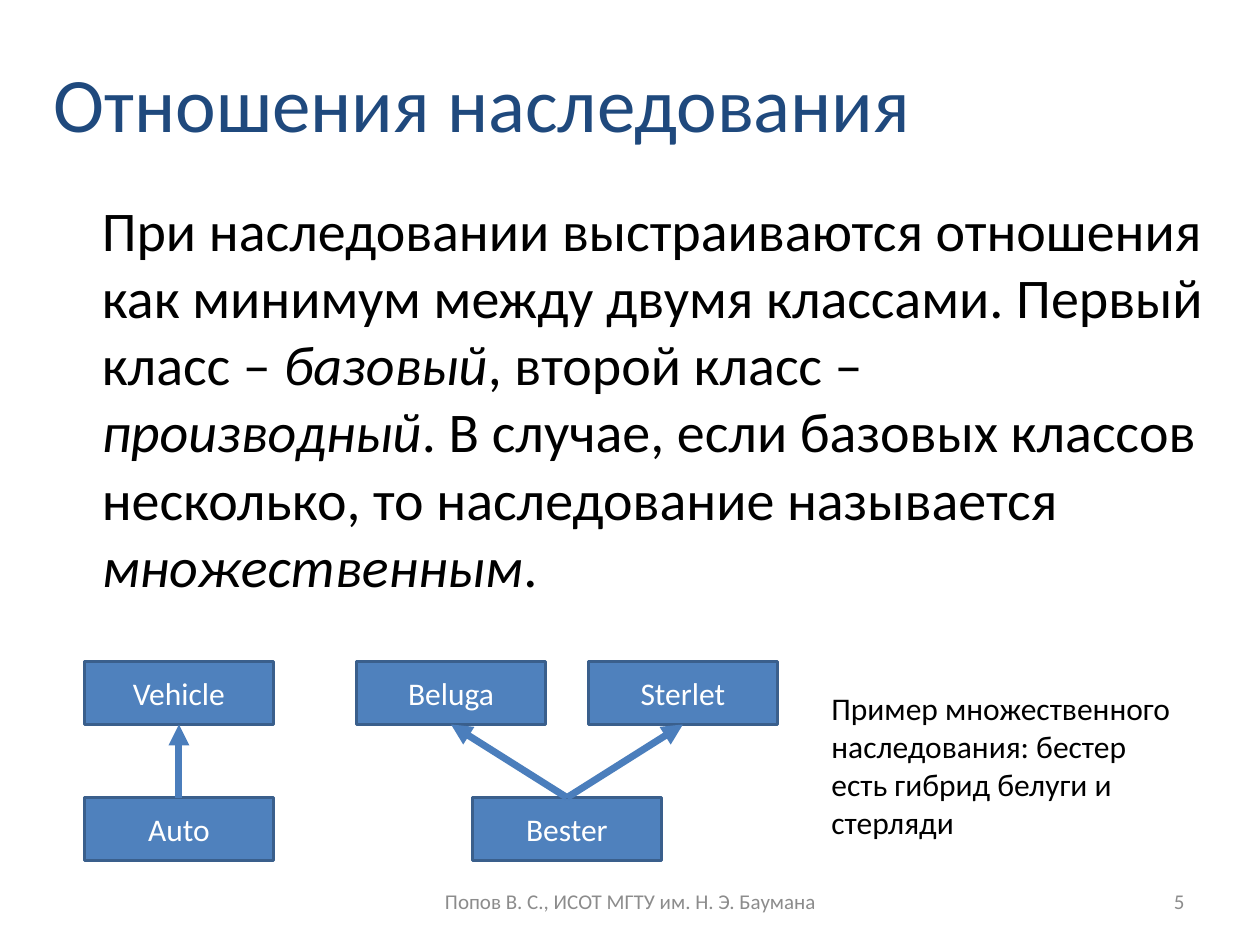
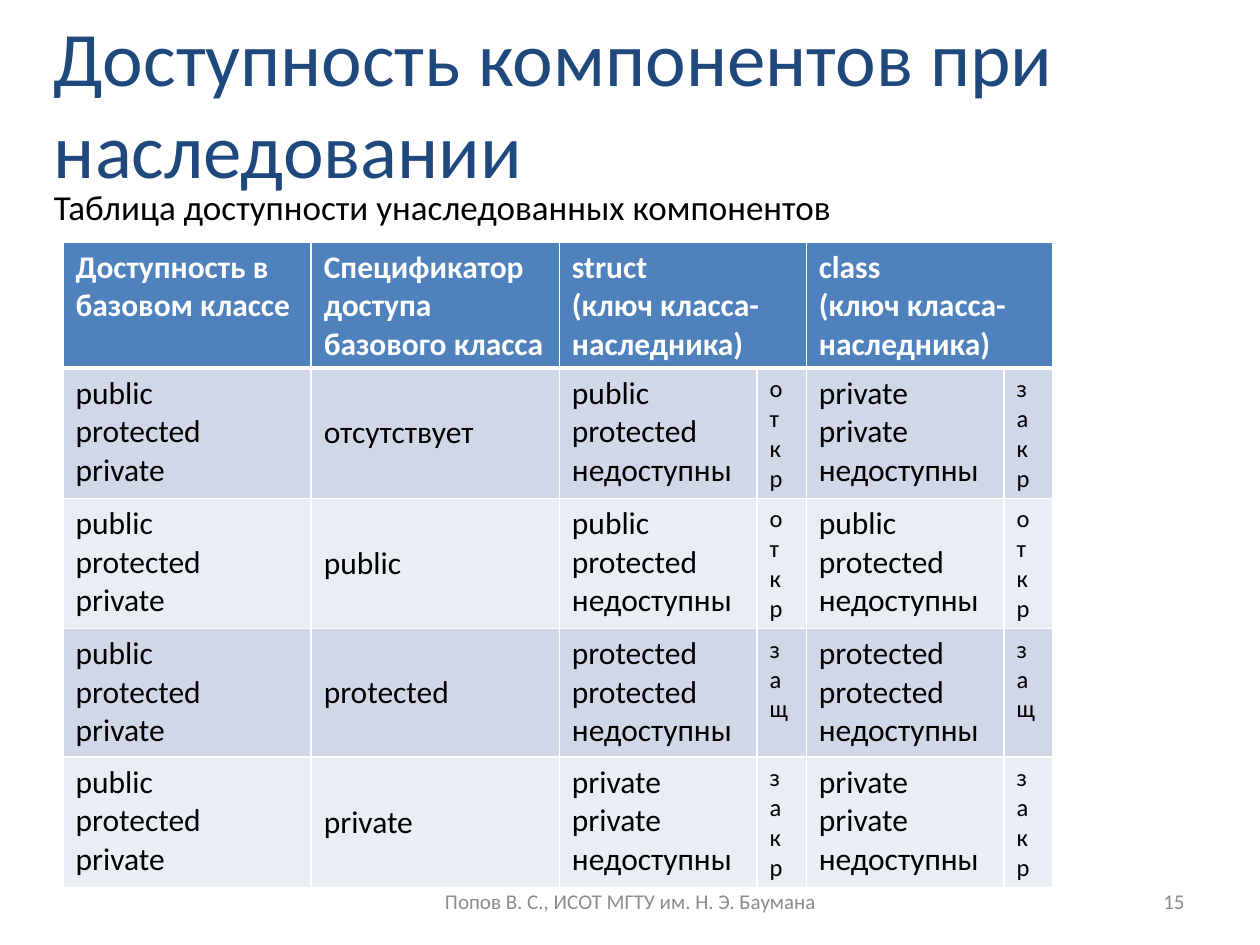
"""Build two lecture slides on class inheritance."""
from lxml.etree import SubElement
from pptx import Presentation
from pptx.dml.color import RGBColor
from pptx.enum.shapes import MSO_CONNECTOR, MSO_SHAPE
from pptx.enum.text import MSO_ANCHOR, PP_ALIGN
from pptx.oxml import parse_xml
from pptx.oxml.ns import nsdecls, qn
from pptx.util import Inches, Pt

COLORS = {
    "title": "1F497D", "text": "000000", "footer": "8C8C8C", "white": "FFFFFF",
    "box": "4F81BD", "box_line": "3A5F8C", "arrow": "4B7EBC",
    "band_dark": "D0D8E8", "band_light": "E9EDF4",
}
FONT = "Calibri"
FOOTER = "Попов В. С., ИСОТ МГТУ им. Н. Э. Баумана"

DEFINITION = [
    ("При наследовании выстраиваются отношения как минимум между двумя классами. "
     "Первый класс – ", False),
    ("базовый", True),
    (", второй класс – ", False),
    ("производный", True),
    (". В случае, если базовых классов несколько, то наследование называется ", False),
    ("множественным", True),
    (".", False),
]
CLASS_BOXES = {
    "Vehicle": (0, 0), "Auto": (0, 1.08), "Beluga": (2.16, 0),
    "Bester": (3.08, 1.08), "Sterlet": (4, 0),
}
INHERITANCE = [("Auto", "Vehicle"), ("Bester", "Beluga"), ("Bester", "Sterlet")]

HEADERS = [
    (0, "Доступность в базовом классе"),
    (1, "Спецификатор доступа базового класса"),
    (2, "struct \n(ключ класса-наследника)"),
    (4, "class\n(ключ класса-наследника)"),
]
BASE_ACCESS = ["public", "protected", "private"]
INHERITED = {
    "откр": ["public", "protected", "недоступны"],
    "защ": ["protected", "protected", "недоступны"],
    "закр": ["private", "private", "недоступны"],
}
ACCESS_ROWS = [
    ("отсутствует", "откр", "закр"),
    ("public", "откр", "откр"),
    ("protected", "защ", "защ"),
    ("private", "закр", "закр"),
]
COLUMN_WIDTHS = [1.97, 1.97, 1.57, 0.39, 1.57, 0.39]
HEADER_HEIGHT, ROW_HEIGHT = 0.97, 1.02


def rgb(name):
    """Return a palette colour."""
    return RGBColor.from_string(COLORS[name])


def add_run(p, text, size, color, bold=False, italic=False):
    """Add one formatted run, with line breaks where the text has them."""
    for i, line in enumerate(text.split("\n")):
        if i:
            p.add_line_break()
        r = p.add_run()
        r.text = line
        r.font.name, r.font.size = FONT, Pt(size)
        r.font.bold, r.font.italic = bold, italic
        r.font.color.rgb = rgb(color)


def add_text(slide, box, runs, size, color="text", align=PP_ALIGN.LEFT,
             anchor=MSO_ANCHOR.TOP, indent=0):
    """Add a wrapped text box holding one paragraph of (text, italic) runs."""
    tf = slide.shapes.add_textbox(*map(Inches, box)).text_frame
    tf.word_wrap = True
    tf.vertical_anchor = anchor
    p = tf.paragraphs[0]
    p.alignment = align
    if indent:
        p._p.get_or_add_pPr().set("marL", str(Inches(indent)))
    for text, italic in runs:
        add_run(p, text, size, color, italic=italic)


def add_base_slide(prs, title, number):
    """Add a blank slide with the shared title, footer and slide number."""
    slide = prs.slides.add_slide(prs.slide_layouts[6])
    middle = MSO_ANCHOR.MIDDLE
    add_text(slide, (0.33, 0, 8.17, 1.61), [(title, False)], 44, "title", anchor=middle)
    add_text(slide, (7.17, 6.95, 2.33, 0.4), [(str(number), False)], 12, "footer",
             PP_ALIGN.RIGHT, middle)
    add_text(slide, (3.42, 6.95, 3.17, 0.4), [(FOOTER, False)], 12, "footer",
             PP_ALIGN.CENTER, middle)
    return slide


def add_class_box(slide, box, name):
    """Add a rectangle that stands for a class."""
    sp = slide.shapes.add_shape(MSO_SHAPE.RECTANGLE, *map(Inches, box))
    sp.shadow.inherit = False
    sp.fill.solid()
    sp.fill.fore_color.rgb = rgb("box")
    sp.line.color.rgb = rgb("box_line")
    sp.line.width = Pt(2)
    tf = sp.text_frame
    tf.vertical_anchor = MSO_ANCHOR.MIDDLE
    p = tf.paragraphs[0]
    p.alignment = PP_ALIGN.CENTER
    add_run(p, name, 18, "white")
    return sp


def add_inheritance_arrow(slide, derived, base):
    """Join the top of a derived class to the bottom of its base class."""
    cxn = slide.shapes.add_connector(MSO_CONNECTOR.STRAIGHT, 0, 0, 0, 0)
    cxn.begin_connect(derived, 0)
    cxn.end_connect(base, 2)
    cxn.line.color.rgb = rgb("arrow")
    cxn.line.width = Pt(4)
    SubElement(cxn.line._get_or_add_ln(), qn("a:tailEnd"), type="triangle")
    SubElement(cxn._element.spPr, qn("a:effectLst"))


def add_class_diagram(slide, left, top):
    """Draw the class boxes and the arrows between them."""
    boxes = {name: add_class_box(slide, (left + x, top + y, 1.5, 0.5), name)
             for name, (x, y) in CLASS_BOXES.items()}
    for derived, base in INHERITANCE:
        add_inheritance_arrow(slide, boxes[derived], boxes[base])


def style_cell(cell, fill, bottom=1):
    """Set the fill and the white borders of a cell."""
    cell.fill.solid()
    cell.fill.fore_color.rgb = rgb(fill)
    tcPr = cell._tc.get_or_add_tcPr()
    for i, (side, width) in enumerate(zip("LRTB", (1, 1, 1, bottom))):
        tcPr.insert(i, parse_xml(
            f'<a:ln{side} {nsdecls("a")} w="{Pt(width)}"><a:solidFill>'
            f'<a:srgbClr val="{COLORS["white"]}"/></a:solidFill></a:ln{side}>'))


def fill_cell(cell, lines, size=18, color="text", bold=False):
    """Write each line as a paragraph of the cell."""
    tf = cell.text_frame
    for i, line in enumerate(lines):
        p = tf.add_paragraph() if i else tf.paragraphs[0]
        add_run(p, line, size, color, bold)


def add_access_table(slide, left, top):
    """Add the table of access to inherited members."""
    height = HEADER_HEIGHT + ROW_HEIGHT * len(ACCESS_ROWS)
    table = slide.shapes.add_table(
        len(ACCESS_ROWS) + 1, len(COLUMN_WIDTHS), Inches(left), Inches(top),
        Inches(sum(COLUMN_WIDTHS)), Inches(height)).table
    table.horz_banding = False
    for column, width in zip(table.columns, COLUMN_WIDTHS):
        column.width = Inches(width)
    for i, row in enumerate(table.rows):
        row.height = Inches(ROW_HEIGHT if i else HEADER_HEIGHT)
        fill = ("band_light", "band_dark")[i % 2] if i else "box"
        for cell in row.cells:
            style_cell(cell, fill, 1 if i else 3)
    for col in (2, 4):
        table.cell(0, col).merge(table.cell(0, col + 1))
    for col, text in HEADERS:
        fill_cell(table.cell(0, col), [text], color="white", bold=True)
    for i, (specifier, *modes) in enumerate(ACCESS_ROWS, 1):
        fill_cell(table.cell(i, 0), BASE_ACCESS)
        fill_cell(table.cell(i, 1), [specifier])
        table.cell(i, 1).vertical_anchor = MSO_ANCHOR.MIDDLE
        for col, mode in zip((2, 4), modes):
            fill_cell(table.cell(i, col), INHERITED[mode])
            fill_cell(table.cell(i, col + 1), ["\n".join(mode)], 14)


def add_relations_slide(prs):
    """Build the slide on inheritance relations."""
    slide = add_base_slide(prs, "Отношения наследования", 5)
    add_text(slide, (0.33, 1.5, 9.33, 3.33), DEFINITION, 32, indent=0.38)
    add_class_diagram(slide, 0.67, 5.25)
    example = "Пример множественного наследования: бестер есть гибрид белуги и стерляди"
    add_text(slide, (6.5, 5.42, 2.92, 1.31), [(example, False)], 18)


def add_access_slide(prs):
    """Build the slide on member access."""
    slide = add_base_slide(prs, "Доступность компонентов при наследовании", 15)
    caption = "Таблица доступности унаследованных компонентов"
    add_text(slide, (0.33, 1.42, 9.33, 0.44), [(caption, False)], 20)
    add_access_table(slide, 0.5, 1.92)


def main():
    """Build and save the presentation."""
    prs = Presentation()
    prs.slide_width, prs.slide_height = Inches(10), Inches(7.5)
    add_relations_slide(prs)
    add_access_slide(prs)
    prs.save("out.pptx")


if __name__ == "__main__":
    main()
